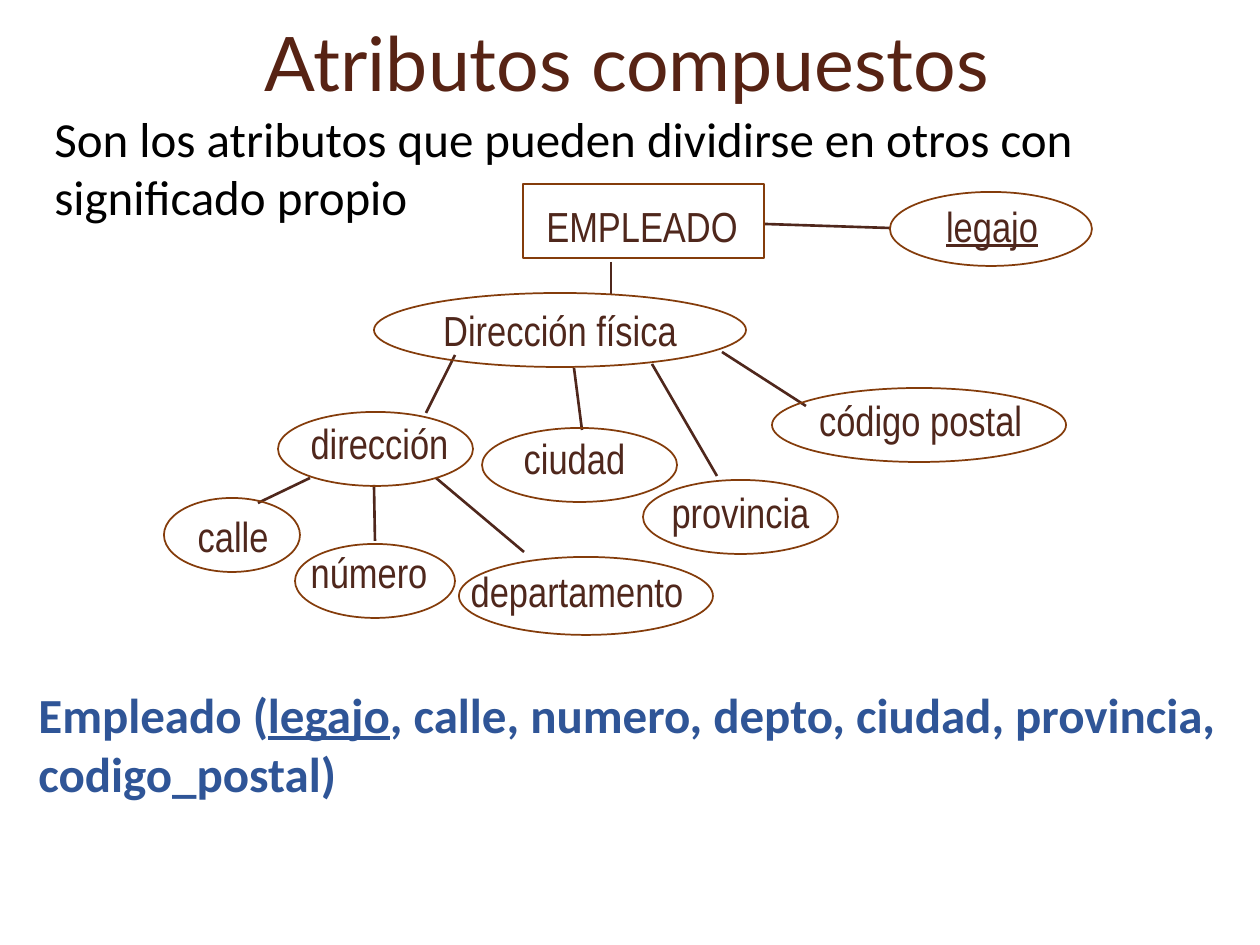
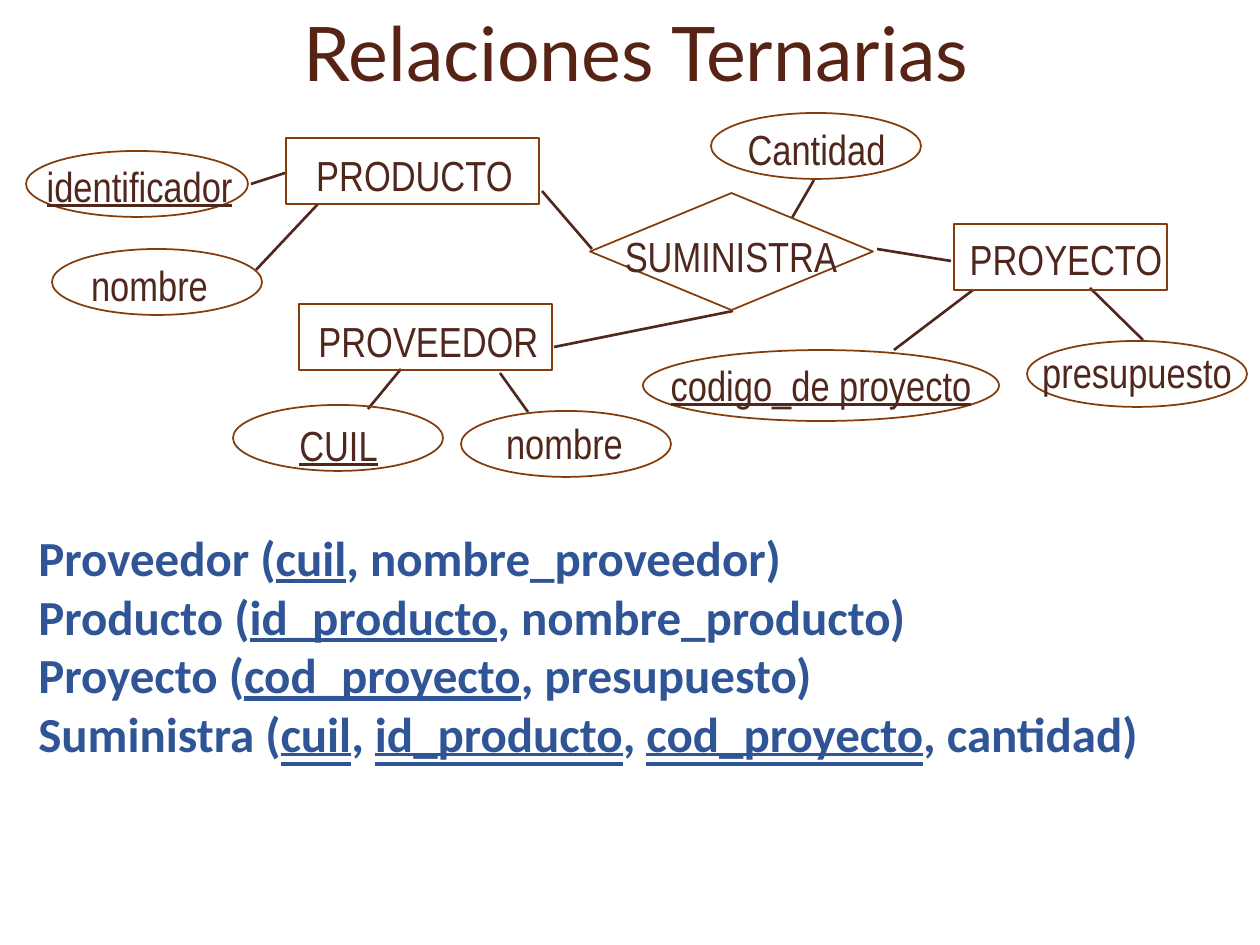
from lxml import etree
from pptx import Presentation
from pptx.dml.color import RGBColor
from pptx.enum.shapes import MSO_CONNECTOR, MSO_SHAPE
from pptx.enum.text import MSO_ANCHOR, MSO_UNDERLINE, PP_ALIGN
from pptx.oxml.ns import qn
from pptx.util import Emu, Pt

ELLIPSE, RECT, DIAMOND = MSO_SHAPE.OVAL, MSO_SHAPE.RECTANGLE, MSO_SHAPE.DIAMOND
STRAIGHT = MSO_CONNECTOR.STRAIGHT
LEFT, CENTER, RIGHT = PP_ALIGN.LEFT, PP_ALIGN.CENTER, PP_ALIGN.RIGHT
TOP, MIDDLE = MSO_ANCHOR.TOP, MSO_ANCHOR.MIDDLE
DOUBLE = MSO_UNDERLINE.DOUBLE_LINE

# Shared style
PX_PER_INCH = 126
OUTLINE, LINK = "843C0B", "4F271C"
TITLE = {"name": "Lato", "size": Pt(43), "color": "572314"}
BODY = {"name": "Calibri", "size": Pt(28), "color": "000000"}
SCHEMA = {"name": "Calibri", "size": Pt(28), "bold": True, "color": "2F5597"}
LABEL = {"name": "Arial Narrow", "size": Pt(24), "color": LINK}


def px(length):
    return Emu(round(length * 914400 / PX_PER_INCH))


def rgb(value):
    return RGBColor.from_string(value)


class Deck:
    """Holds the presentation, its style and the current slide."""

    def __init__(self):
        self.prs = Presentation()
        self.prs.slide_width, self.prs.slide_height = px(1260), px(945)
        self.slide = None

    def new_slide(self, title, left, top):
        self.slide = self.prs.slides.add_slide(self.prs.slide_layouts[6])
        self.text((left, top, 1202, 122), [title], TITLE, CENTER, MIDDLE)

    def text(self, box, rows, style, align=LEFT, anchor=TOP):
        """Write one paragraph per row; pieces between bars are underlined."""
        frame = self.slide.shapes.add_textbox(*map(px, box)).text_frame
        frame.word_wrap, frame.vertical_anchor = True, anchor
        for number, row in enumerate(rows):
            paragraph = frame.add_paragraph() if number else frame.paragraphs[0]
            paragraph.alignment = align
            for index, piece in enumerate(row.split("|")):
                if piece:
                    run = paragraph.add_run()
                    run.text = piece
                    self.format(run.font, style)
                    if index % 2:
                        run.font.underline = True
        return frame

    def format(self, font, style):
        for key, value in style.items():
            if key == "color":
                font.color.rgb = rgb(value)
            else:
                setattr(font, key, value)

    def node(self, kind, label, outline, place, label_height, align=CENTER):
        shape = self.slide.shapes.add_shape(kind, *map(px, outline))
        shape.shadow.inherit = False
        shape.fill.background()
        shape.line.color.rgb, shape.line.width = rgb(OUTLINE), Pt(1)
        frame = self.text((*place, label_height), [label], LABEL, align)
        frame.word_wrap = False
        frame.margin_left = frame.margin_right = 0

    def link(self, *ends):
        connector = self.slide.shapes.add_connector(STRAIGHT, *map(px, ends))
        connector.line.color.rgb, connector.line.width = rgb(LINK), Pt(1.5)
        etree.SubElement(connector._element.spPr, qn("a:effectLst"))

    def diagram(self, nodes, links, label_height):
        for ends in links:
            self.link(*ends)
        for kind, label, outline, place, *align in nodes:
            self.node(kind, label, outline, place, label_height, *align)


# Each node: shape, label, outline box, label left/top/width, optional alignment
EMPLOYEE_NODES = [
    (RECT, "EMPLEADO", (523, 184, 241, 74), (538, 194, 208)),
    (ELLIPSE, "|legajo|", (890, 192, 202, 74), (908, 194, 168)),
    (ELLIPSE, "Dirección física", (374, 293, 372, 74), (436, 298, 248)),
    (ELLIPSE, "dirección", (278, 412, 195, 74), (300, 411, 159)),
    (ELLIPSE, "ciudad", (482, 428, 195, 74), (512, 426, 125)),
    (ELLIPSE, "provincia", (643, 480, 195, 74), (659, 480, 163)),
    (ELLIPSE, "código postal", (772, 388, 294, 74), (766, 388, 256), RIGHT),
    (ELLIPSE, "calle", (164, 498, 136, 74), (167, 504, 132)),
    (ELLIPSE, "número", (295, 544, 160, 74), (303, 540, 132)),
    (ELLIPSE, "departamento", (459, 557, 254, 78), (456, 559, 242)),
]
EMPLOYEE_LINKS = [
    (890, 228, 765, 224), (611, 262, 611, 295), (455, 355, 426, 413),
    (574, 368, 582, 430), (717, 476, 652, 364), (722, 352, 806, 406),
    (310, 478, 258, 503), (374, 485, 375, 541), (524, 552, 436, 478),
]
SUPPLY_NODES = [
    (RECT, "PRODUCTO", (286, 138, 253, 66), (288, 143, 253)),
    (ELLIPSE, "|identificador|", (26, 151, 222, 66), (43, 154, 193)),
    (ELLIPSE, "nombre", (52, 249, 210, 66), (62, 253, 175)),
    (DIAMOND, "SUMINISTRA", (590, 193, 283, 117), (620, 224, 222)),
    (ELLIPSE, "Cantidad", (711, 113, 210, 66), (729, 117, 175)),
    (RECT, "PROYECTO", (954, 224, 213, 66), (919, 227, 294)),
    (ELLIPSE, "|codigo_de proyecto|", (643, 350, 356, 71), (666, 353, 310)),
    (ELLIPSE, "presupuesto", (1027, 341, 220, 66), (1037, 340, 200)),
    (RECT, "PROVEEDOR", (299, 304, 253, 66), (302, 309, 253)),
    (ELLIPSE, "|CUIL|", (233, 405, 210, 66), (251, 413, 175)),
    (ELLIPSE, "nombre", (461, 411, 210, 66), (477, 411, 175)),
]
SUPPLY_LINKS = [
    (733, 311, 554, 347), (285, 173, 251, 184), (592, 249, 542, 191),
    (1090, 288, 1143, 340), (318, 204, 256, 270), (401, 369, 368, 409),
    (973, 290, 894, 350), (951, 261, 877, 249), (814, 180, 792, 218),
    (500, 373, 528, 412),
]
SUPPLY_SCHEMA = [
    "Proveedor (|cuil|, nombre_proveedor)",
    "Producto (|id_producto|, nombre_producto)",
    "Proyecto (|cod_proyecto|, presupuesto)",
    "Suministra (|cuil|, |id_producto|, |cod_proyecto|, cantidad)",
]


def main():
    deck = Deck()

    # Composite attributes
    deck.new_slide("Atributos compuestos", 26, 0)
    deck.text((42, 102, 1133, 190),
              ["Son los atributos que pueden dividirse en otros con significado propio"], BODY)
    deck.text((26, 678, 1202, 252),
              ["Empleado (|legajo|, calle, numero, depto, ciudad, provincia, codigo_postal)"],
              SCHEMA)
    deck.diagram(EMPLOYEE_NODES, EMPLOYEE_LINKS, 68)

    # Ternary relationships, with the keys of the last relation underlined twice
    deck.new_slide("Relaciones Ternarias", 35, -10)
    deck.diagram(SUPPLY_NODES, SUPPLY_LINKS, 59)
    schema = deck.text((26, 521, 1220, 410), SUPPLY_SCHEMA, SCHEMA)
    for key in schema.paragraphs[-1].runs[1::2]:
        key.font.underline = DOUBLE

    deck.prs.save("out.pptx")


if __name__ == "__main__":
    main()
